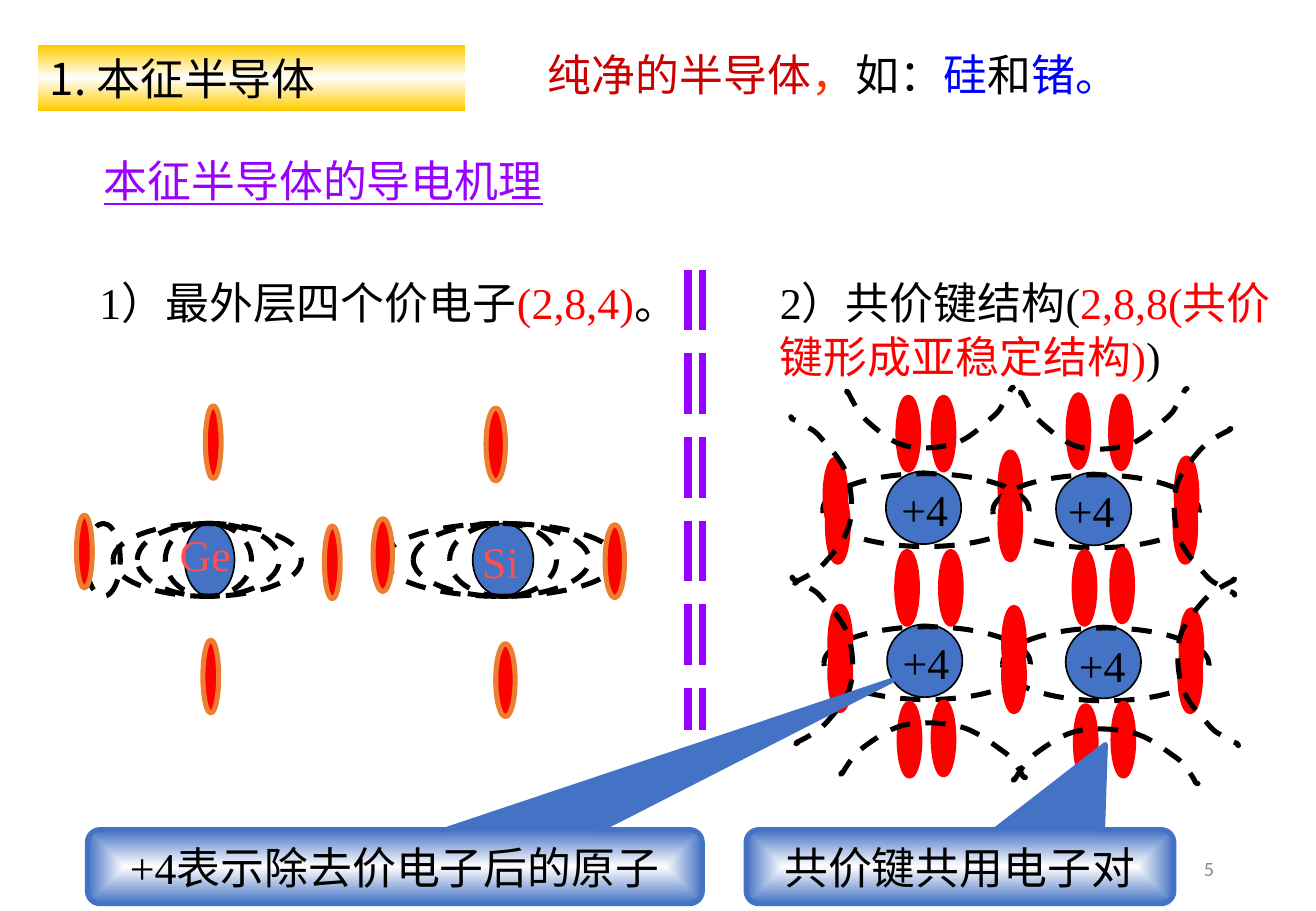
"""Build the slide on intrinsic semiconductors: atoms, covalent bonds and callouts."""
from lxml import etree
from pptx import Presentation
from pptx.dml.color import RGBColor
from pptx.enum.dml import MSO_LINE
from pptx.enum.shapes import MSO_CONNECTOR, MSO_SHAPE
from pptx.enum.text import MSO_ANCHOR, MSO_AUTO_SIZE, PP_ALIGN
from pptx.oxml import parse_xml
from pptx.oxml.ns import nsdecls, qn
from pptx.util import Pt

PX = 9144
OVAL, CALLOUT = MSO_SHAPE.OVAL, MSO_SHAPE.ROUNDED_RECTANGULAR_CALLOUT
STRAIGHT = MSO_CONNECTOR.STRAIGHT
DASH, LONG_DASH = MSO_LINE.DASH, MSO_LINE.LONG_DASH
TOP, MIDDLE = MSO_ANCHOR.TOP, MSO_ANCHOR.MIDDLE
LEFT, CENTER, RIGHT = PP_ALIGN.LEFT, PP_ALIGN.CENTER, PP_ALIGN.RIGHT
NO_AUTOFIT = MSO_AUTO_SIZE.NONE

BLACK = RGBColor(0x00, 0x00, 0x00)
WHITE = RGBColor(0xFF, 0xFF, 0xFF)
GOLD = RGBColor(0xFF, 0xCC, 0x00)
RED = RGBColor(0xFF, 0x00, 0x00)
DARK_RED = RGBColor(0xCC, 0x00, 0x00)
VERMILION = RGBColor(0xFF, 0x33, 0x00)
CORAL = RGBColor(0xFF, 0x50, 0x50)
ORANGE = RGBColor(0xED, 0x7D, 0x31)
BLUE = RGBColor(0x00, 0x00, 0xFF)
STEEL = RGBColor(0x44, 0x72, 0xC4)
PURPLE = RGBColor(0x99, 0x00, 0xFF)
GRAY = RGBColor(0x8C, 0x8C, 0x8C)
SANS, SERIF, FOOTER = "Noto Sans CJK SC", "Times New Roman", "Calibri"

HEADING = ((31, 37, 352, 54), [("1. 本征半导体", BLACK)])
DEFINITION = ((441, 34, 542, 54), [
    ("纯净的半导体", DARK_RED), ("，", VERMILION), ("如：", BLACK),
    ("硅", BLUE), ("和", BLACK), ("锗。", BLUE)])
MECHANISM = ((72, 120, 388, 55), [("本征半导体的导电机理", PURPLE)])
POINTS = [
    ((72, 222, 506, 54), [("1）最外层四个价电子", BLACK), ("(2,8,4)", RED), ("。", BLACK)]),
    ((632, 222, 440, 98), [("2）共价键结构(", BLACK),
                           ("2,8,8(共价键形成亚稳定结构)", RED), (")", BLACK)])]
CALLOUTS = [
    ((614, 683, 352, 61), (0.34, -1.65, 0.17), "共价键共用电子对"),
    ((72, 683, 506, 61), (0.81, -2.52, 0.17), "+4表示除去价电子后的原子")]
PAGE_NUMBER = ((765, 695, 244, 40), "5")

SHELL_HEIGHT = 60
ATOMS = [
    {"symbol": "Ge", "label": (138, 429, 85, 54), "nucleus": (152, 41), "shell_top": 431,
     "orbits": [(113, 117), (93, 155), (71, 28), (136, 71)],
     "electron_width": 13,
     "electrons": [(267, 433), (63, 424), (169, 334), (167, 527)]},
    {"symbol": "Si", "label": (387, 435, 58, 54), "nucleus": (389, 50), "shell_top": 431,
     "orbits": [(370, 88), (340, 145), (316, 192)],
     "electron_width": 16,
     "electrons": [(307, 427), (408, 530), (498, 432), (400, 336)]}]

ION_WIDTH, ION_ORBIT_WIDTH, BOND_WIDTH = 62, 170, 17
IONS = [(729, 388), (869, 389), (730, 514), (877, 515)]
ION_LABELS = [(732, 392), (869, 393), (733, 518), (878, 521)]
BOND_ELECTRONS = [
    (823, 372), (823, 401), (915, 452), (884, 454), (826, 500), (826, 526),
    (738, 454), (774, 454), (683, 499), (683, 525), (739, 327), (768, 327),
    (679, 378), (681, 403), (916, 579), (885, 581), (967, 403), (968, 377),
    (768, 578), (740, 579), (914, 326), (879, 325), (971, 526), (972, 502)]
ARC_WIDTH, ARC_LENGTH = 52, 138
FLAT_WIDTH, FLAT_HEIGHT = 153, 47
ARC_CONTROLS = [
    (46, 3), (46, 3), (50, 0), (47, 3), (43, 5), (30, 11), (23, 19),
    (16, 27), (6, 38), (3, 50), (0, 62), (1, 79), (5, 91),
    (9, 103), (20, 114), (26, 121), (31, 127), (33, 128), (37, 130),
    (41, 133), (47, 136), (50, 137), (52, 138), (51, 139), (51, 139),
    (51, 139), (50, 137), (50, 137)]
ARCS = [
    ("right", 965, 351), ("right", 968, 475), ("top", 695, 318), ("top", 838, 319),
    ("bottom", 690, 594), ("bottom", 832, 599), ("left", 650, 344), ("left", 651, 476)]
DIVIDER_XS, DIVIDER_TOP, DIVIDER_BOTTOM = (566, 578), 222, 601


def emu(box):
    return [value * PX for value in box]


def write(shape, runs, font=SERIF, size=26, align=LEFT, anchor=TOP, margins=(10, 4),
          wrap=True, underline=None, spacing=Pt(32)):
    frame = shape.text_frame
    frame.auto_size = NO_AUTOFIT
    frame.word_wrap = wrap
    frame.vertical_anchor = anchor
    frame.margin_left = frame.margin_right = margins[0] * PX
    frame.margin_top = frame.margin_bottom = margins[1] * PX
    paragraph = frame.paragraphs[0]
    paragraph.alignment = align
    paragraph.line_spacing = spacing
    paragraph.space_before = Pt(0)
    for text, color in runs:
        run = paragraph.add_run()
        run.text = text
        run.font.size = Pt(size)
        run.font.underline = underline
        run.font.color.rgb = color
        run.font.name = font
        etree.SubElement(run.font._element, qn("a:ea"), typeface=SANS)


def add_label(canvas, box, runs, **style):
    write(canvas.add_textbox(*emu(box)), runs, **style)


def outline(shape, color, width, dash=None):
    shape.line.color.rgb = color
    shape.line.width = Pt(width)
    if dash:
        shape.line.dash_style = dash


def add_oval(canvas, box, fill, color, width, dash=None):
    oval = canvas.add_shape(OVAL, *emu(box))
    oval.shadow.inherit = False
    if fill is None:
        oval.fill.background()
    else:
        oval.fill.solid()
        oval.fill.fore_color.rgb = fill
    outline(oval, color, width, dash)


def add_nucleus(canvas, x, y, width):
    add_oval(canvas, (x, y, width, SHELL_HEIGHT), STEEL, BLACK, 1)


def add_orbit(canvas, x, y, width):
    add_oval(canvas, (x, y, width, SHELL_HEIGHT), None, BLACK, 3, DASH)


def add_electron(canvas, x, y, width, rim):
    add_oval(canvas, (x, y, width, SHELL_HEIGHT), RED, rim, 3)


def set_gradient(shape, stops, direction):
    shape.fill.gradient()
    plain = shape.element.spPr.find(qn("a:gradFill"))
    marks = "".join(f'<a:gs pos="{pos * 1000}"><a:srgbClr val="{color}"/></a:gs>'
                    for pos, color in stops)
    plain.getparent().replace(plain, parse_xml(
        f'<a:gradFill {nsdecls("a")} rotWithShape="1"><a:gsLst>{marks}</a:gsLst>'
        f'{direction}</a:gradFill>'))


def turn(side, x, y):
    along, depth = y * FLAT_WIDTH / ARC_LENGTH, x * FLAT_HEIGHT / ARC_WIDTH
    return {"right": (x, y), "left": (ARC_WIDTH - x, ARC_LENGTH - y),
            "top": (y, ARC_WIDTH - x), "bottom": (along, depth)}[side]


def bend(outline_shape):
    corners = list(outline_shape.element.iter(qn("a:lnTo")))
    for first, second, third in zip(corners[::3], corners[1::3], corners[2::3]):
        curve = etree.Element(qn("a:cubicBezTo"))
        first.addprevious(curve)
        for corner in (first, second, third):
            curve.append(corner[0])
            corner.getparent().remove(corner)


def add_arc(canvas, side, left, top):
    turned = [turn(side, x, y) for x, y in ARC_CONTROLS]
    points = [(round((left + x) * PX), round((top + y) * PX)) for x, y in turned]
    builder = canvas.build_freeform(*points[0])
    builder.add_line_segments(points[1:], close=False)
    arc = builder.convert_to_shape()
    bend(arc)
    arc.shadow.inherit = False
    arc.fill.background()
    outline(arc, BLACK, 3, DASH)


deck = Presentation()
deck.slide_width, deck.slide_height = emu((1083, 750))
slide = deck.slides.add_slide(deck.slide_layouts[5])
page = slide.shapes

heading_box, heading_runs = HEADING
heading = page.title
heading.left, heading.top, heading.width, heading.height = emu(heading_box)
set_gradient(heading, [(0, GOLD), (50, WHITE), (100, GOLD)], '<a:lin ang="5400000" scaled="1"/>')
write(heading, heading_runs, font=SANS)

for atom in ATOMS:
    atom_group = page.add_group_shape().shapes
    shell_top = atom["shell_top"]
    nucleus_x, nucleus_width = atom["nucleus"]
    add_nucleus(atom_group, nucleus_x, shell_top, nucleus_width)
    for orbit_x, orbit_width in atom["orbits"]:
        add_orbit(atom_group, orbit_x, shell_top, orbit_width)
    add_label(atom_group, atom["label"], [(atom["symbol"], CORAL)])
    for x, y in atom["electrons"]:
        add_electron(atom_group, x, y, atom["electron_width"], ORANGE)

add_label(page, *MECHANISM, font=SANS, align=CENTER, anchor=MIDDLE, margins=(11, 6),
          wrap=False, underline=True)
add_label(page, *DEFINITION, font=SANS)
for point_box, point_runs in POINTS:
    add_label(page, point_box, point_runs)

lattice = page.add_group_shape().shapes
add_electron(lattice, *BOND_ELECTRONS[0], BOND_WIDTH, RED)
for x, y in IONS:
    add_nucleus(lattice, x, y, ION_WIDTH)
    add_orbit(lattice, x + (ION_WIDTH - ION_ORBIT_WIDTH) // 2 + 2, y + 2, ION_ORBIT_WIDTH)
for x, y in BOND_ELECTRONS[1:]:
    add_electron(lattice, x, y, BOND_WIDTH, RED)
for arc_place in ARCS:
    add_arc(lattice, *arc_place)
for x, y in ION_LABELS:
    add_label(lattice, (x, y, 72, 54), [("+4", BLACK)])

for callout_box, pointer, caption in CALLOUTS:
    callout = page.add_shape(CALLOUT, *emu(callout_box))
    callout.shadow.inherit = False
    for index, value in enumerate(pointer):
        callout.adjustments[index] = value
    set_gradient(callout, [(0, WHITE), (100, STEEL)],
                 '<a:path path="rect"><a:fillToRect l="50000" t="50000" r="50000" b="50000"/></a:path>')
    outline(callout, STEEL, 3)
    write(callout, [(caption, BLACK)], align=CENTER, anchor=MIDDLE, margins=(11, 6))

divider_group = page.add_group_shape().shapes
for x in DIVIDER_XS:
    divider = divider_group.add_connector(STRAIGHT, *emu((x, DIVIDER_TOP, x, DIVIDER_BOTTOM)))
    outline(divider, PURPLE, 4.5, LONG_DASH)
    etree.SubElement(divider.element.spPr, qn("a:effectLst"))

number_box, number = PAGE_NUMBER
add_label(page, number_box, [(number, GRAY)], font=FOOTER, size=12, align=RIGHT,
          anchor=MIDDLE, spacing=1.0)

deck.save("out.pptx")
